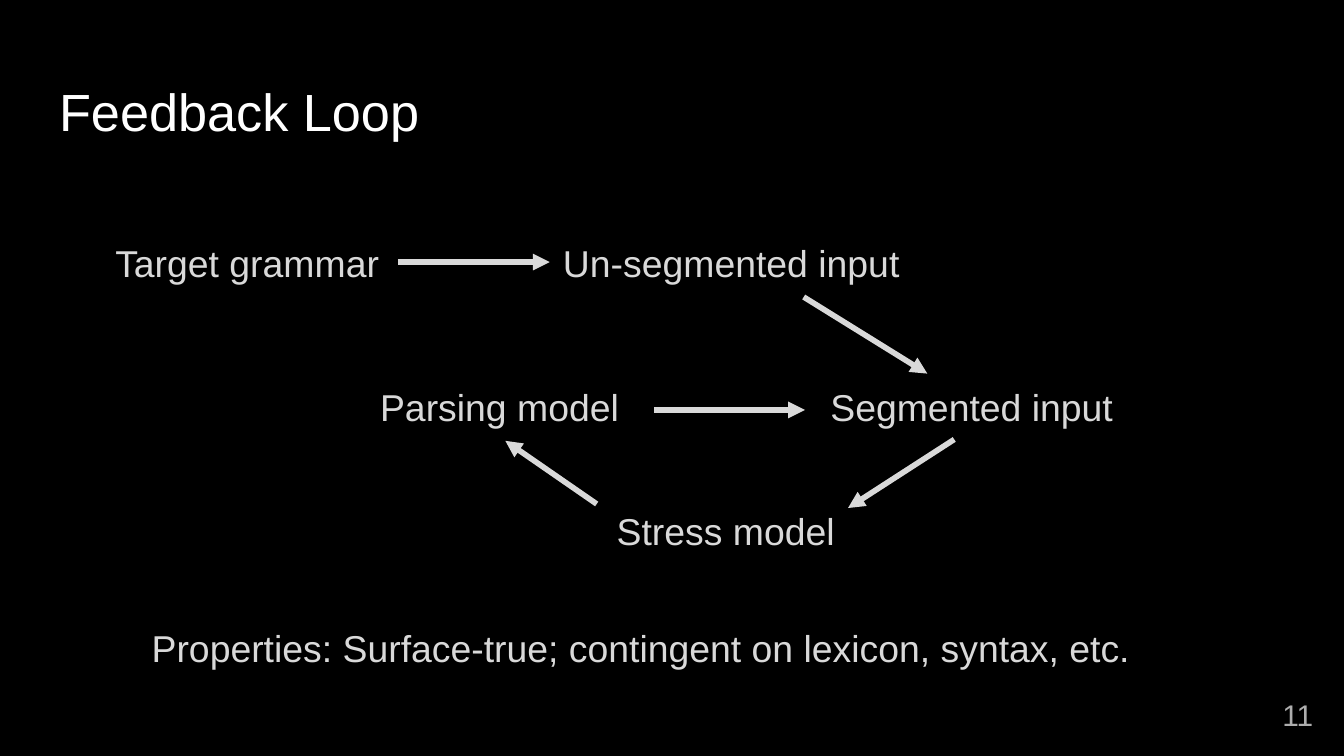
from lxml import etree
from pptx import Presentation
from pptx.dml.color import RGBColor
from pptx.enum.shapes import MSO_CONNECTOR
from pptx.enum.text import MSO_ANCHOR, MSO_AUTO_SIZE, PP_ALIGN
from pptx.oxml.ns import qn
from pptx.util import Inches, Pt

STRAIGHT = MSO_CONNECTOR.STRAIGHT
TOP, MIDDLE = MSO_ANCHOR.TOP, MSO_ANCHOR.MIDDLE
LEFT, RIGHT = PP_ALIGN.LEFT, PP_ALIGN.RIGHT
NO_FIT = MSO_AUTO_SIZE.NONE
LEFT_SIDE, RIGHT_SIDE = 1, 3

FONT = "Arial"
BLACK, WHITE, LIGHT, GRAY = "000000", "FFFFFF", "D9D9D9", "ADADAD"
LABEL_HEIGHT = 0.52


def color(value):
    return RGBColor.from_string(value)


def write_text(shape, text, size=20, fill=LIGHT, align=LEFT, anchor=TOP,
               line_spacing=None, space_after=None):
    frame = shape.text_frame
    frame.word_wrap = True
    frame.auto_size = NO_FIT
    frame.vertical_anchor = anchor
    frame.margin_left = frame.margin_right = Inches(0.1)
    frame.margin_top = frame.margin_bottom = Inches(0.1)
    para = frame.paragraphs[0]
    para.alignment = align
    para.line_spacing = line_spacing
    para.space_after = space_after
    span = para.add_run()
    span.text = text
    span.font.name = FONT
    span.font.size = Pt(size)
    span.font.color.rgb = color(fill)


def add_text(page, box, text, **style):
    shape = page.shapes.add_textbox(*map(Inches, box))
    write_text(shape, text, **style)
    return shape


def add_arrow(page, start, end):
    arrow = page.shapes.add_connector(STRAIGHT, *map(Inches, start + end))
    arrow.line.color.rgb = color(LIGHT)
    arrow.line.width = Pt(3)
    outline = arrow.line._get_or_add_ln()
    etree.SubElement(outline, qn("a:tailEnd"), type="triangle")
    etree.SubElement(arrow._element.spPr, qn("a:effectLst"))
    return arrow


def add_title(page, box, text):
    title = page.shapes.title
    title.left, title.top, title.width, title.height = map(Inches, box)
    write_text(title, text, size=28, fill=WHITE)


def add_loop(page, box):
    left, top, width, height = box

    def place(x, y):
        return left + x, top + y

    labels = {}
    for text, x, y, label_width in (
        ("Target grammar", 0, 0, 2.2),
        ("Un-segmented input", 3.33, 0, 2.92),
        ("Parsing model", 1.97, 1.07, 2.06),
        ("Segmented input", width - 2.41, 1.07, 2.41),
        ("Stress model", 3.73, height - LABEL_HEIGHT, 2.06),
    ):
        label_box = place(x, y) + (label_width, LABEL_HEIGHT)
        labels[text] = add_text(page, label_box, text)

    feed = add_arrow(page, place(2.2, 0.26), place(3.33, 0.26))
    feed.begin_connect(labels["Target grammar"], RIGHT_SIDE)
    feed.end_connect(labels["Un-segmented input"], LEFT_SIDE)

    for start, end in (
        ((4.11, 1.36), (5.23, 1.36)),
        ((5.22, 0.52), (6.14, 1.09)),
        ((6.34, 1.58), (5.55, 2.09)),
        ((3.68, 2.06), (3.0, 1.59)),
    ):
        add_arrow(page, place(*start), place(*end))


def add_feedback_page(deck):
    page = deck.slides.add_slide(deck.slide_layouts.get_by_name("Title Only"))
    page.background.fill.solid()
    page.background.fill.fore_color.rgb = color(BLACK)
    add_title(page, (0.34, 0.49, 9.32, 0.63), "Feedback Loop")
    add_loop(page, (0.76, 1.69, 7.73, 2.51))
    add_text(page, (1.03, 4.5, 7.63, 0.65),
             "Properties: Surface-true; contingent on lexicon, syntax, etc.",
             line_spacing=1.15, space_after=Pt(16))
    add_text(page, (9.27, 5.1, 0.6, 0.43), "11",
             size=16, fill=GRAY, align=RIGHT, anchor=MIDDLE)


def main():
    deck = Presentation()
    deck.slide_width = Inches(10)
    deck.slide_height = deck.slide_width * 9 // 16
    add_feedback_page(deck)
    deck.save("out.pptx")


if __name__ == "__main__":
    main()
